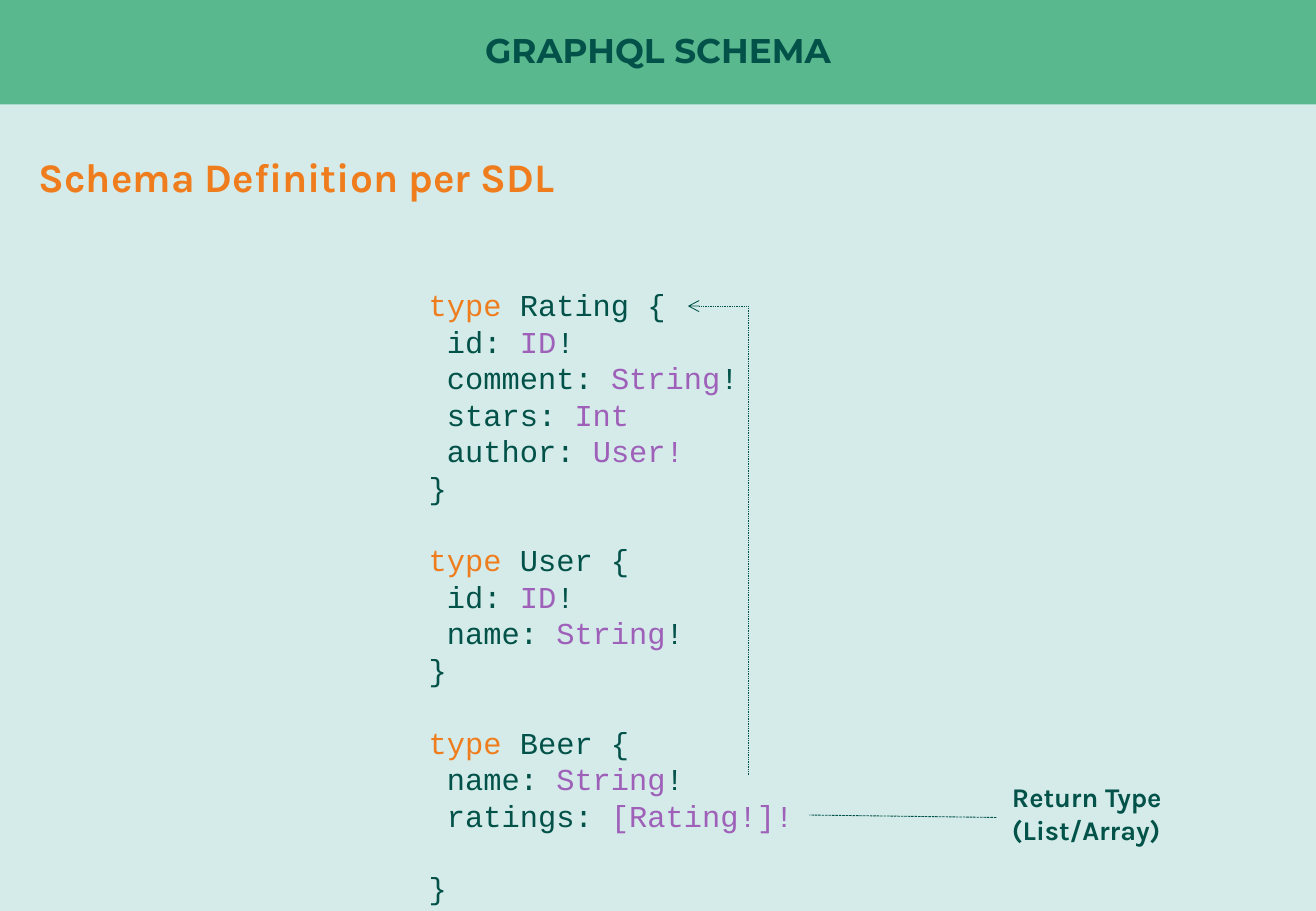
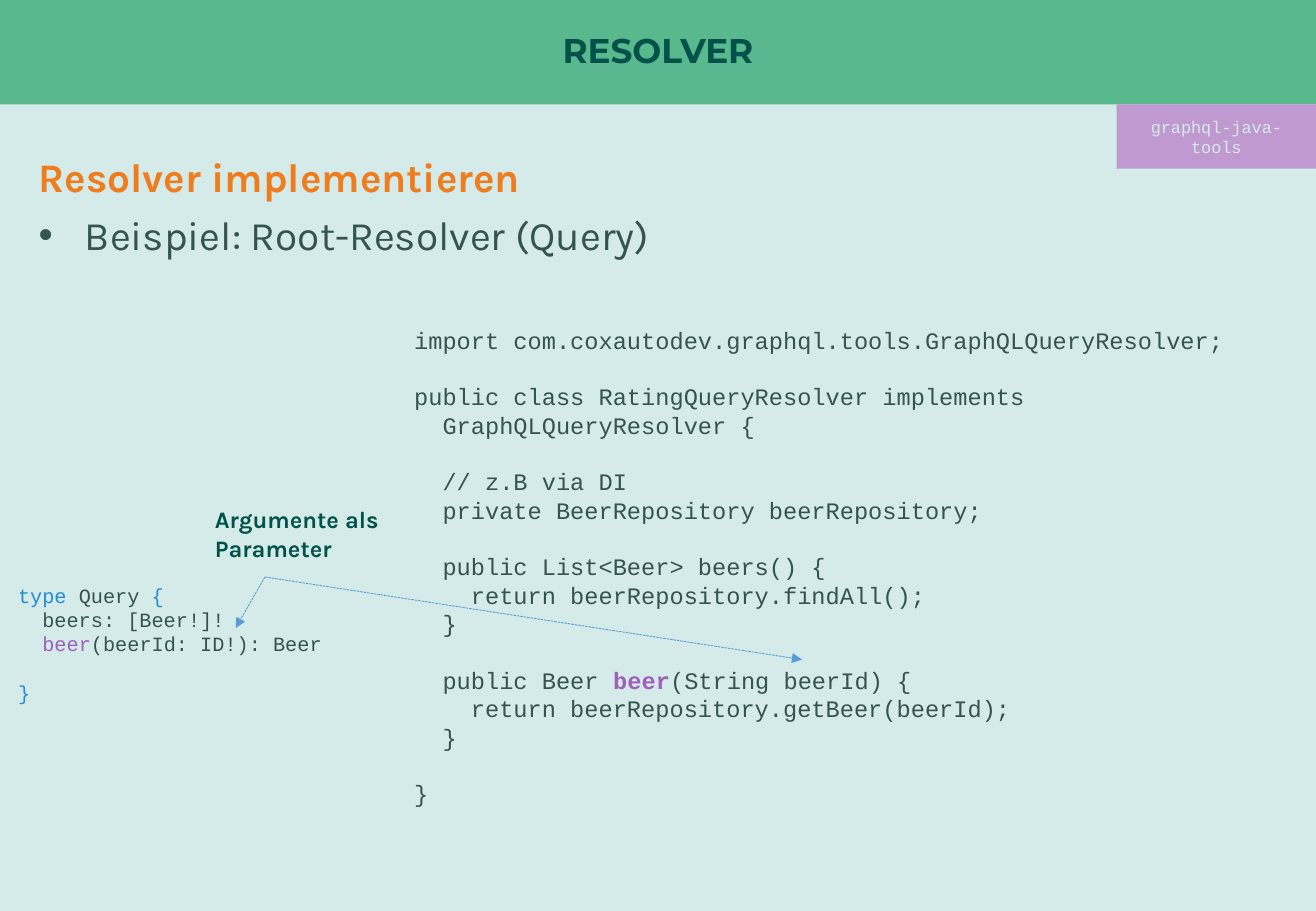
"""Builds two slides on GraphQL schemas and resolvers."""
from pptx import Presentation
from pptx.dml.color import RGBColor
from pptx.enum.dml import MSO_LINE
from pptx.enum.shapes import MSO_CONNECTOR, MSO_SHAPE
from pptx.enum.text import MSO_ANCHOR, MSO_AUTO_SIZE, PP_ALIGN
from pptx.oxml.ns import qn
from pptx.util import Inches, Pt
from lxml import etree

COLORS = {
    "background": "D4EBE9", "band": "5AB88F", "dark": "025249",
    "orange": "EF7D1D", "purple": "9E60B8", "lilac": "C199D1",
    "gray": "36544F", "keyword": "268BD2", "arrow": "5B9BD5",
}
CODE_FONT, TEXT_FONT, TITLE_FONT = "Courier New", "Karla", "Montserrat"
WIDTH, HEIGHT, BAND_HEIGHT = 10.83, 7.5, 0.86
DOT, DASH = MSO_LINE.ROUND_DOT, MSO_LINE.SQUARE_DOT

TYPE = ("type", "orange")
SCHEMA_CODE = [
    [TYPE, " Rating {"],
    [" id: ", ("ID", "purple"), "!"],
    [" comment: ", ("String", "purple"), "!"],
    [" stars: ", ("Int", "purple")],
    [" author: ", ("User!", "purple")],
    ["}"],
    [],
    [TYPE, " User {"],
    [" id: ", ("ID", "purple"), "!"],
    [" name: ", ("String", "purple"), "!"],
    ["}"],
    [],
    [TYPE, " Beer {"],
    [" name: ", ("String", "purple"), "!"],
    [" ratings: ", ("[Rating!]!", "purple")],
    [],
    ["}"],
]
QUERY_CODE = [
    [("type ", "keyword"), "Query ", ("{", "keyword")],
    ["  beers: [Beer!]!"],
    ["  ", ("beer", "purple"), "(beerId: ID!): Beer"],
    [],
    [("}", "keyword")],
]
RESOLVER_CODE = [
    ["import com.coxautodev.graphql.tools.GraphQLQueryResolver;"],
    [],
    ["public class RatingQueryResolver implements"],
    ["  GraphQLQueryResolver {"],
    [],
    ["  // z.B via DI"],
    ["  private BeerRepository beerRepository;"],
    [],
    ["  public List<Beer> beers() {"],
    ["    return beerRepository.findAll();"],
    ["  }"],
    [],
    ["  public Beer ", ("beer", "purple", True), "(String beerId) {"],
    ["    return beerRepository.getBeer(beerId);"],
    ["  }"],
    [],
    ["}"],
]

SLIDES = [
    {
        "title": "GRAPHQL SCHEMA",
        "heading": "Schema Definition per SDL",
        "codes": [(SCHEMA_CODE, (3.43, 2.31, 6.76, 5.86), 18, "dark")],
        "callout": (["Return Type", "(List/Array)"], (8.23, 6.38, 3.2, 0.64), 16),
        "lines": [
            ((8.2, 6.73), (6.66, 6.71), "dark", DASH, None),
            ((6.16, 2.52), (5.66, 2.52), "dark", DOT, "arrow"),
            ((6.16, 2.52), (6.16, 6.38), "dark", DOT, None),
        ],
    },
    {
        "title": "RESOLVER",
        "tag": "graphql-java-tools",
        "heading": "Resolver implementieren",
        "bullet": "Beispiel: Root-Resolver (Query)",
        "codes": [
            (QUERY_CODE, (0.05, 4.75, 2.89, 1.11), 12, "gray"),
            (RESOLVER_CODE, (3.31, 2.63, 7.32, 4.11), 14, "gray"),
        ],
        "callout": (["Argumente als", "Parameter"], (1.67, 4.11, 1.9, 0.57), 14),
        "lines": [
            ((2.18, 4.75), end, "arrow", DASH, "triangle")
            for end in ((1.94, 5.17), (6.6, 5.43))
        ],
    },
]


def rgb(name):
    """Return the named colour."""
    return RGBColor.from_string(COLORS[name])


def style(font, name, size, color, bold=False):
    """Apply typeface, size, colour and weight to a font."""
    font.name, font.size, font.bold = name, Pt(size), bold
    font.color.rgb = rgb(color)


def add_rectangle(slide, box, color):
    """Add a plain filled rectangle."""
    shape = slide.shapes.add_shape(MSO_SHAPE.RECTANGLE, *map(Inches, box))
    shape.shadow.inherit = False
    shape.fill.solid()
    shape.fill.fore_color.rgb = rgb(color)
    shape.line.fill.background()
    return shape


def add_text(slide, box):
    """Add a wrapping text box and return its frame."""
    text_frame = slide.shapes.add_textbox(*map(Inches, box)).text_frame
    text_frame.word_wrap = True
    text_frame.auto_size = MSO_AUTO_SIZE.SHAPE_TO_FIT_TEXT
    return text_frame


def add_code(slide, lines, box, size, color):
    """Add code, turning each empty line into space before the next one."""
    text_frame = add_text(slide, box)
    paragraph, gap = text_frame.paragraphs[0], 0
    for index, line in enumerate(lines):
        if not line:
            gap += 1.2 * size
            continue
        if index:
            paragraph = text_frame.add_paragraph()
            paragraph.space_before = Pt(gap)
        gap = 0
        for part in line:
            text, *look = (part, color) if isinstance(part, str) else part
            run = paragraph.add_run()
            run.text = text
            style(run.font, CODE_FONT, size, *look)


def add_callout(slide, lines, box, size):
    """Add a bold label with one paragraph a line."""
    text_frame = add_text(slide, box)
    text_frame.text = "\n".join(lines)
    for paragraph in text_frame.paragraphs:
        style(paragraph.runs[0].font, TEXT_FONT, size, "dark", True)


def add_line(slide, start, end, color, dash, arrowhead):
    """Add a thin dashed line, with an arrowhead at its end if named."""
    connector = slide.shapes.add_connector(
        MSO_CONNECTOR.STRAIGHT, *map(Inches, start + end))
    connector.line.width = Pt(0.5)
    connector.line.color.rgb = rgb(color)
    connector.line.dash_style = dash
    properties = connector._element.spPr
    if arrowhead:
        outline = properties.find(qn("a:ln"))
        etree.SubElement(outline, qn("a:tailEnd"), type=arrowhead)
    etree.SubElement(properties, qn("a:effectLst"))


def add_heading(slide, heading, bullet):
    """Add the orange heading and the bullet below it, if any."""
    text_frame = add_text(slide, (0.22, 1.12, 10.39, 1.04 if bullet else 0.55))
    paragraph = text_frame.paragraphs[0]
    paragraph.text = heading
    paragraph.line_spacing = 1.2
    style(paragraph.runs[0].font, TEXT_FONT, 24, "orange", True)
    if bullet:
        paragraph = text_frame.add_paragraph()
        paragraph.text = bullet
        paragraph.line_spacing = 1.2
        properties = paragraph._p.get_or_add_pPr()
        properties.set("marL", str(Inches(0.38)))
        properties.set("indent", str(Inches(-0.38)))
        etree.SubElement(properties, qn("a:buFont"), typeface="Arial")
        etree.SubElement(properties, qn("a:buChar"), char="•")
        style(paragraph.runs[0].font, TEXT_FONT, 24, "gray")


def set_title(slide, text):
    """Place the title in the band and format it."""
    title = slide.shapes.title
    title.left = title.top = 0
    title.width, title.height = Inches(WIDTH), Inches(BAND_HEIGHT)
    text_frame = title.text_frame
    text_frame.text = text
    text_frame.vertical_anchor = MSO_ANCHOR.MIDDLE
    text_frame.margin_left = text_frame.margin_right = 0
    text_frame.margin_top = text_frame.margin_bottom = 0
    paragraph = text_frame.paragraphs[0]
    paragraph.alignment = PP_ALIGN.CENTER
    paragraph.line_spacing = 0.9
    style(paragraph.runs[0].font, TITLE_FONT, 20.3, "dark", True)


def add_tag(slide, text):
    """Add the library tag below the right end of the band."""
    tag_width = 1.64
    box = (WIDTH - tag_width, BAND_HEIGHT, tag_width, 0.53)
    text_frame = add_rectangle(slide, box, "lilac").text_frame
    text_frame.text = text
    text_frame.word_wrap = True
    text_frame.vertical_anchor = MSO_ANCHOR.MIDDLE
    paragraph = text_frame.paragraphs[0]
    paragraph.alignment = PP_ALIGN.CENTER
    style(paragraph.runs[0].font, CODE_FONT, 10, "background")


def main():
    """Build and save the presentation."""
    presentation = Presentation()
    presentation.slide_width = Inches(WIDTH)
    presentation.slide_height = Inches(HEIGHT)
    background = presentation.slide_master.background.fill
    background.solid()
    background.fore_color.rgb = rgb("background")
    layout = presentation.slide_layouts[5]
    for number, content in enumerate(SLIDES):
        slide = presentation.slides.add_slide(layout)
        if number == 0:
            band = add_rectangle(slide, (0, 0, WIDTH, BAND_HEIGHT), "band")
            layout.shapes._spTree.insert(2, band._element)
        set_title(slide, content["title"])
        if "tag" in content:
            add_tag(slide, content["tag"])
        add_heading(slide, content["heading"], content.get("bullet"))
        for code in content["codes"]:
            add_code(slide, *code)
        add_callout(slide, *content["callout"])
        for line in content["lines"]:
            add_line(slide, *line)
    presentation.save("out.pptx")


if __name__ == "__main__":
    main()
